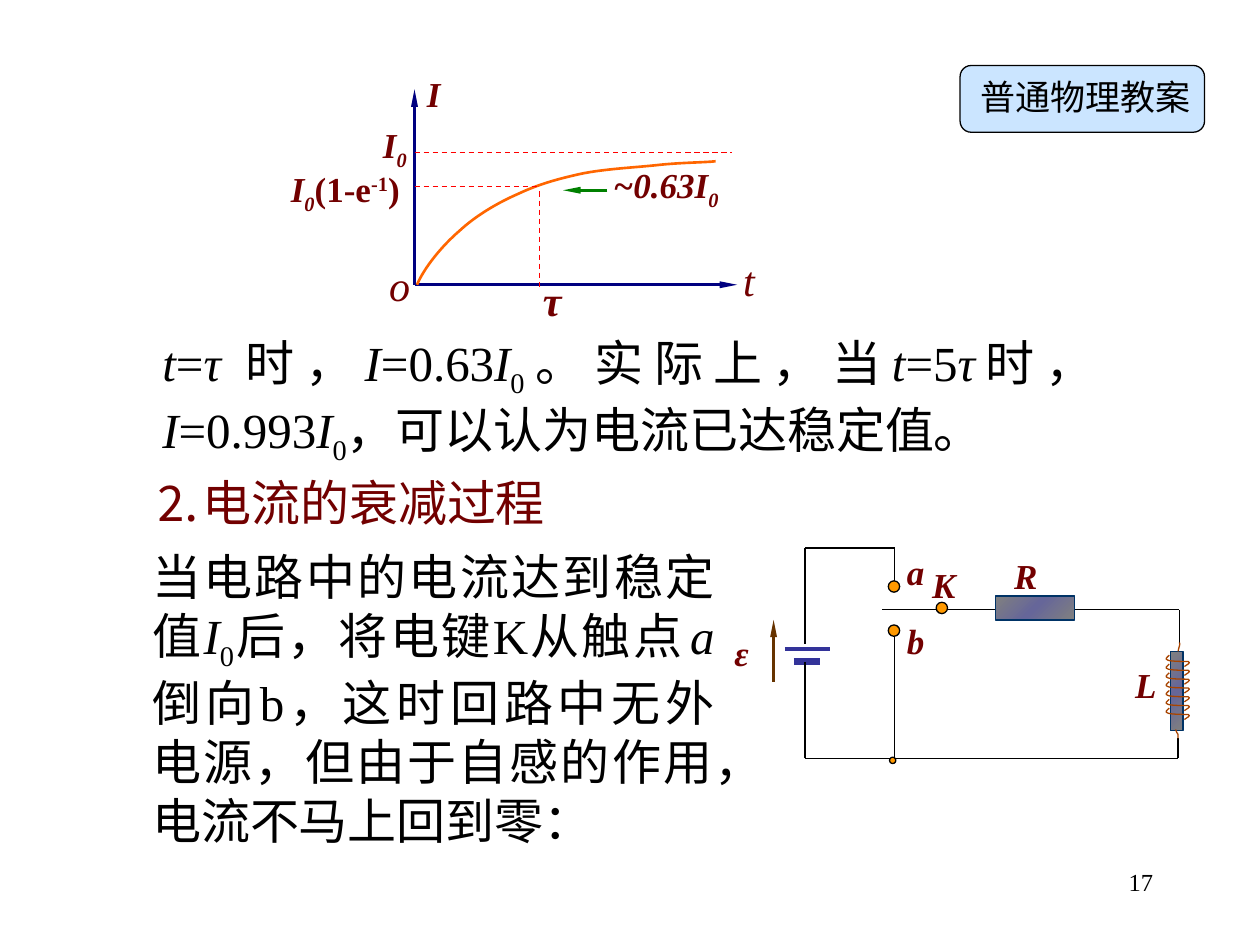
import copy

import pptx
import pptx.dml.color
import pptx.enum.dml
import pptx.enum.shapes
import pptx.enum.text
import pptx.oxml
import pptx.oxml.ns
import pptx.util

Inches = pptx.util.Inches
Pt = pptx.util.Pt
SHAPES = pptx.enum.shapes.MSO_SHAPE
ALIGN = pptx.enum.text.PP_ALIGN

COLORS = {
    "ink": "000000", "label": "720000", "axis": "000080", "curve": "FF6600",
    "guide": "FF0000", "pointer": "008000", "badge": "99CCFF", "contact": "FF9900",
    "battery": "333399", "emf": "663300", "coil": "A84400", "core_line": "003366",
    "core_edge": "808080", "core_middle": "666699",
}
BASELINES = {"_": "-25000", "^": "30000"}
CURVE = [(3.31, 2.26),
         (3.37, 2.12), (3.51, 1.95), (3.65, 1.83), (3.78, 1.71), (3.95, 1.61), (4.11, 1.54),
         (4.28, 1.46), (4.43, 1.42), (4.61, 1.38), (4.8, 1.34), (5.04, 1.33), (5.22, 1.31),
         (5.4, 1.29), (5.59, 1.29), (5.68, 1.28)]
COIL_TURN = [(9.28, 0), (9.26, 0.02), (9.24, 0.03), (9.27, 0.04), (9.29, 0.05),
             (9.41, 0.05), (9.43, 0.05), (9.46, 0.06), (9.41, 0.08), (9.4, 0.09)]
COIL_ENDS = [
    [(9.35, 5.17), (9.35, 5.15), (9.36, 5.14), (9.36, 5.13), (9.37, 5.12), (9.36, 5.1), (9.36, 5.1)],
    [(9.33, 5.79), (9.34, 5.81), (9.34, 5.82), (9.35, 5.83), (9.35, 5.84), (9.35, 5.86), (9.35, 5.86)],
]
GRAPH_LABELS = [
    ((3.29, 0.53, 0.62, 0.44), 20, [("I", "bi")]),
    ((2.94, 0.93, 0.62, 0.48), 20, [("I", "bi"), ("0", "bi_")]),
    ((2.21, 1.28, 1.56, 0.48), 20,
     [("I", "bi"), ("0", "bi_"), ("(1-e", "b"), ("-1", "b^"), (")", "b")]),
    ((4.77, 1.25, 1.23, 0.48), 20, [("~0.63I", "bi"), ("0", "bi_")]),
    ((4.21, 2.13, 0.67, 0.5), 24, [("τ", "bi")]),
    ((2.99, 2.01, 0.67, 0.5), 24, [("o", "i")]),
    ((5.8, 1.97, 0.67, 0.5), 24, [("t", "i")]),
]
CIRCUIT_LABELS = [("a", 7.1, 4.32, 0.67), ("b", 7.1, 4.87, 0.67), ("K", 7.3, 4.42, 0.75),
                  ("R", 7.95, 4.35, 0.75), ("L", 8.91, 5.22, 0.75), ("ε", 5.73, 4.96, 0.67)]
WIRES = [
    (6.39, 5.11, 6.39, 4.35), (6.39, 4.35, 7.1, 4.35), (7.1, 4.35, 7.1, 4.63),
    (6.39, 6.02, 6.39, 5.25), (6.39, 6.02, 9.35, 6.02), (7.1, 6.02, 7.1, 5.03),
    (7, 4.84, 7.45, 4.84), (7.52, 4.84, 7.9, 4.84), (8.53, 4.84, 9.36, 4.84),
    (9.36, 5.1, 9.36, 4.84), (9.35, 5.86, 9.35, 6.02),
]
CONTACTS = [(7.05, 4.61, 0.09), (7.05, 4.96, 0.09), (7.43, 4.78, 0.09), (7.06, 6.01, 0.05)]
STEADY_RUNS = [
    ("t", "i"), ("=", ""), ("τ", "i"), (" ", "is"), ("时，", ""), ("I", "i"), ("=0.63", ""),
    ("I", "i"), ("0", "_"), ("。实际上，当", ""), ("t", "i"), ("=5", ""), ("τ", "i"),
    ("时， ", ""), ("I", "i"), ("=0.993", ""), ("I", "i"), ("0", "_"),
    ("，可以认为电流已达稳定值。", ""),
]
DECAY_RUNS = [
    ("当电路中的电流达到稳定值", ""), ("I", "i"), ("0", "_"), ("后，将电键K从触点", ""),
    (" ", "s"), ("a", "i"),
    ("倒向b，这时回路中无外电源，但由于自感的作用，电流不马上回到零：", ""),
]


def rgb(name):
    """Return the named colour."""
    return pptx.dml.color.RGBColor.from_string(COLORS[name])


def apply_format(target, values):
    """Set each attribute in values on target."""
    for name, value in values.items():
        setattr(target, name, value)


def add_text(slide, box, runs, size, color="ink", align=ALIGN.LEFT, inset=True):
    """Add a wrapped text box; style letters are b, i, s(mall), _ and ^."""
    frame = slide.shapes.add_textbox(*map(Inches, box)).text_frame
    frame.word_wrap = True
    if not inset:
        apply_format(frame, dict.fromkeys(
            ("margin_left", "margin_top", "margin_right", "margin_bottom"), 0))
    paragraph = frame.paragraphs[0]
    paragraph.alignment = align
    for text, style in runs:
        run = paragraph.add_run()
        run.text = text
        apply_format(run.font, {
            "name": "Times New Roman", "size": Pt(8 if "s" in style else size),
            "bold": "b" in style, "italic": "i" in style})
        run.font.color.rgb = rgb(color)
        for mark, baseline in BASELINES.items():
            if mark in style:
                run.font._element.set("baseline", baseline)


def add_line(slide, ends, color="ink", width=0.75, dashed=False, arrow=False):
    """Add a straight line, optionally dashed or with an arrowhead at its end."""
    connector = slide.shapes.add_connector(
        pptx.enum.shapes.MSO_CONNECTOR.STRAIGHT, *map(Inches, ends))
    connector.line.color.rgb = rgb(color)
    connector.line.width = Pt(width)
    if dashed:
        connector.line.dash_style = pptx.enum.dml.MSO_LINE.DASH
    if arrow:
        head = pptx.oxml.ns.qn("a:tailEnd")
        connector.line._get_or_add_ln().append(connector._element.makeelement(
            head, {"type": "triangle", "w": "sm", "len": "lg"}))
    properties = connector._element.spPr
    properties.append(properties.makeelement(pptx.oxml.ns.qn("a:effectLst"), {}))


def add_shape(slide, kind, box, fill, line="ink"):
    """Add a preset shape with a solid fill."""
    shape = slide.shapes.add_shape(kind, *map(Inches, box))
    shape.shadow.inherit = False
    shape.fill.solid()
    shape.fill.fore_color.rgb = rgb(fill)
    shape.line.color.rgb = rgb(line)
    shape.line.width = Pt(0.75)
    return shape


def add_core(slide, box):
    """Add a component body with a diagonal three-stop gradient."""
    shape = add_shape(slide, SHAPES.RECTANGLE, box, "core_edge", "core_line")
    shape.fill.gradient()
    shape.fill.gradient_angle = 315
    stop_list = shape._element.spPr.find(".//" + pptx.oxml.ns.qn("a:gsLst"))
    stop_list.append(copy.deepcopy(stop_list[0]))
    names = ("core_edge", "core_middle", "core_edge")
    for index, (stop, name) in enumerate(zip(shape.fill.gradient_stops, names)):
        stop.position = index / 2
        stop.color.rgb = rgb(name)


def add_curve(slide, points, color, width=0.75):
    """Add an open outline of chained cubic Bezier segments."""
    start, *controls = [tuple(map(Inches, point)) for point in points]
    builder = slide.shapes.build_freeform(*start, scale=1.0)
    builder.add_line_segments(controls, close=False)
    shape = builder.convert_to_shape()
    outline = shape._element.spPr.find(".//" + pptx.oxml.ns.qn("a:path"))
    segments = list(outline)[1:]
    for index in range(0, len(segments), 3):
        bezier = outline.makeelement(pptx.oxml.ns.qn("a:cubicBezTo"), {})
        outline.append(bezier)
        for segment in segments[index:index + 3]:
            bezier.append(segment[0])
            outline.remove(segment)
    shape.shadow.inherit = False
    shape.fill.background()
    shape.line.color.rgb = rgb(color)
    shape.line.width = Pt(width)


def add_graph(slide):
    """Draw the current growth graph."""
    for end in ((3.29, 0.71), (5.85, 2.26)):
        add_line(slide, (3.29, 2.26, *end), "axis", 1.5, arrow=True)
    add_curve(slide, CURVE, "curve", 1.5)
    for ends in ((3.29, 1.21, 5.81, 1.21), (3.29, 1.48, 4.29, 1.48), (4.28, 1.52, 4.28, 2.28)):
        add_line(slide, ends, "guide", dashed=True)
    add_line(slide, (4.82, 1.51, 4.47, 1.51), "pointer", 1.5, arrow=True)
    for box, size, runs in GRAPH_LABELS:
        add_text(slide, box, runs, size, "label")


def add_circuit(slide):
    """Draw the switched inductor circuit."""
    add_line(slide, (6.23, 5.15, 6.59, 5.15), "battery", 2.25)
    add_line(slide, (6.3, 5.25, 6.51, 5.25), "battery", 4.5)
    for ends in WIRES:
        add_line(slide, ends)
    for left, top, size in CONTACTS:
        add_shape(slide, SHAPES.OVAL, (left, top, size, size), "contact")
    for box in ((7.9, 4.73, 0.63, 0.19), (9.29, 5.17, 0.1, 0.63)):
        add_core(slide, box)
    for turn in range(7):
        add_curve(slide, [(x, 5.2 + 0.07 * turn + y) for x, y in COIL_TURN], "coil")
    for points in COIL_ENDS:
        add_curve(slide, points, "coil")
    add_line(slide, (6.14, 5.41, 6.14, 4.92), "emf", 1.5, arrow=True)
    for text, left, top, width in CIRCUIT_LABELS:
        add_text(slide, (left, top, width, 0.44), [(text, "bi")], 20, "label")


def add_badge(slide):
    """Draw the half-transparent course badge."""
    badge = add_shape(slide, SHAPES.ROUNDED_RECTANGLE, (7.62, 0.52, 1.94, 0.53), "badge")
    color = badge._element.spPr.find(".//" + pptx.oxml.ns.qn("a:srgbClr"))
    color.append(color.makeelement(pptx.oxml.ns.qn("a:alpha"), {"val": "50000"}))
    add_text(slide, (7.78, 0.6, 1.94, 0.39), [("普通物理教案", "")], 20,
             align=ALIGN.JUSTIFY, inset=False)


def main():
    """Build and save the slide."""
    presentation = pptx.Presentation()
    apply_format(presentation, {"slide_width": Inches(10), "slide_height": Inches(7.5)})
    slide = presentation.slides.add_slide(presentation.slide_layouts[6])
    add_text(slide, (7.17, 6.83, 2.08, 0.5), [("17", "")], 14, align=ALIGN.RIGHT)
    add_graph(slide)
    add_text(slide, (1.19, 2.59, 7.59, 1.16), STEADY_RUNS, 28, align=ALIGN.JUSTIFY)
    add_badge(slide)
    add_text(slide, (1.12, 3.7, 6.13, 0.57), [("⒉电流的衰减过程", "")], 28, "label")
    add_text(slide, (1.11, 4.29, 4.66, 2.5), DECAY_RUNS, 28, align=ALIGN.JUSTIFY)
    add_circuit(slide)
    presentation.save("out.pptx")


if __name__ == "__main__":
    main()
